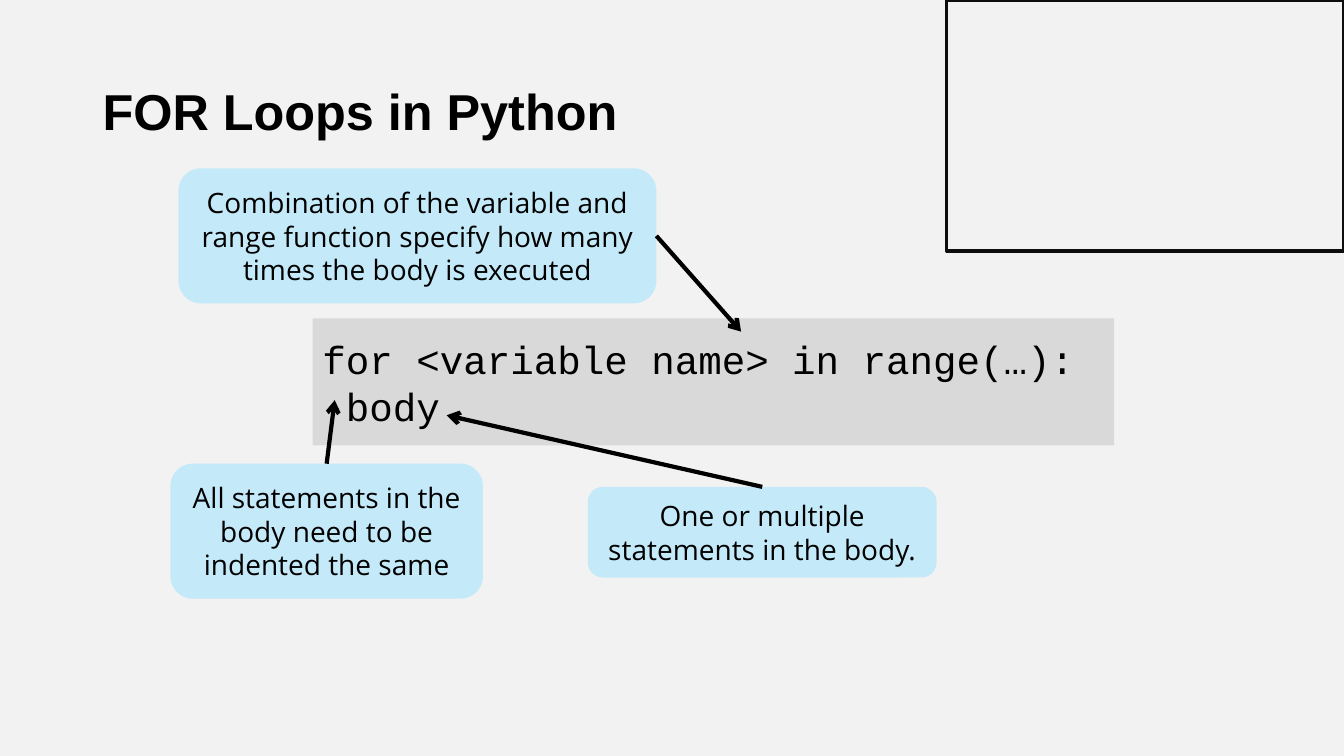
from dataclasses import dataclass

from lxml.etree import SubElement
from pptx import Presentation
from pptx.dml.color import RGBColor
from pptx.enum.shapes import MSO_CONNECTOR as Line, MSO_SHAPE as Preset
from pptx.enum.text import MSO_ANCHOR as Anchor, PP_ALIGN as Align
from pptx.oxml.ns import qn
from pptx.util import Inches, Pt

TOP, RIGHT = 0, 3


@dataclass(frozen=True)
class Theme:
    background: str = "F2F2F2"
    ink: str = "000000"
    frame: str = "0D0D0D"
    code_fill: str = "D9D9D9"
    callout_fill: str = "C4EAF9"
    title_font: str = "Arial"
    code_font: str = "Courier New"
    callout_font: str = "Open Sans"
    title_size: int = 36
    code_size: int = 28
    callout_size: int = 20
    frame_width: float = 2.25
    arrow_width: float = 3


def rgb(color):
    return RGBColor.from_string(color)


def grid(*cells):
    """Turn columns and rows, each a tenth of an inch, into lengths."""
    return [Inches(cell / 10) for cell in cells]


class LoopSlide:
    """Draws on one slide in one theme; boxes are (column, row, columns, rows)."""

    def __init__(self, deck, theme):
        self.theme = theme
        self.slide = deck.slides.add_slide(deck.slide_layouts[6])
        backdrop = self.slide.background.fill
        backdrop.solid()
        backdrop.fore_color.rgb = rgb(theme.background)

    def set_lines(self, shape, lines, font, size, align=Align.LEFT, bold=False, spacing=1.0):
        frame = shape.text_frame
        frame.word_wrap = True
        frame.vertical_anchor = Anchor.MIDDLE
        for index, line in enumerate(lines):
            paragraph = frame.add_paragraph() if index else frame.paragraphs[0]
            paragraph.alignment = align
            paragraph.line_spacing = spacing
            run = paragraph.add_run()
            run.text = line
            run.font.name = font
            run.font.size = Pt(size)
            run.font.bold = bold
            run.font.color.rgb = rgb(self.theme.ink)

    def panel(self, preset, box, fill=None):
        shape = self.slide.shapes.add_shape(preset, *grid(*box))
        shape.shadow.inherit = False
        shape.line.fill.background()
        if fill:
            shape.fill.solid()
            shape.fill.fore_color.rgb = rgb(fill)
        else:
            shape.fill.background()
        return shape

    def frame(self, box):
        outline = self.panel(Preset.RECTANGLE, box).line
        outline.color.rgb = rgb(self.theme.frame)
        outline.width = Pt(self.theme.frame_width)

    def title(self, box, text):
        heading = self.slide.shapes.add_textbox(*grid(*box))
        self.set_lines(heading, [text], self.theme.title_font, self.theme.title_size,
                       bold=True, spacing=0.9)

    def code(self, box, lines):
        block = self.panel(Preset.RECTANGLE, box, self.theme.code_fill)
        self.set_lines(block, lines, self.theme.code_font, self.theme.code_size)

    def callout(self, box, text, side, target):
        """Add a rounded note with an arrow from one side to a target cell."""
        note = self.panel(Preset.ROUNDED_RECTANGLE, box, self.theme.callout_fill)
        self.set_lines(note, [text], self.theme.callout_font, self.theme.callout_size,
                       align=Align.CENTER)
        self.arrow(note, side, target)

    def arrow(self, note, side, target):
        end = grid(*target)
        pointer = self.slide.shapes.add_connector(Line.STRAIGHT, *end, *end)
        pointer.begin_connect(note, side)
        pointer.line.color.rgb = rgb(self.theme.ink)
        pointer.line.width = Pt(self.theme.arrow_width)
        properties = pointer.element.spPr
        SubElement(properties.find(qn("a:ln")), qn("a:tailEnd"), type="arrow")
        SubElement(properties, qn("a:effectLst"))


def main():
    deck = Presentation()
    deck.slide_width, deck.slide_height = Inches(13.33), Inches(7.5)
    page = LoopSlide(deck, Theme())
    page.frame((93.9, 0, 39.4, 24.9))
    page.title((9.2, 6, 91, 10.7), "FOR Loops in Python")
    page.code((31, 31.6, 79.5, 12.6), ["for <variable name> in range(…):", " body"])
    page.callout((17.7, 16.7, 47.4, 13.4),
                 "Combination of the variable and range function specify "
                 "how many times the body is executed", RIGHT, (73.5, 32.9))
    page.callout((58.3, 48.3, 34.6, 9),
                 "One or multiple statements in the body.", TOP, (44.3, 41.2))
    page.callout((16.9, 46, 31, 13.4),
                 "All statements in the body need to be indented the same",
                 TOP, (33.2, 39.7))
    deck.save("out.pptx")


if __name__ == "__main__":
    main()
